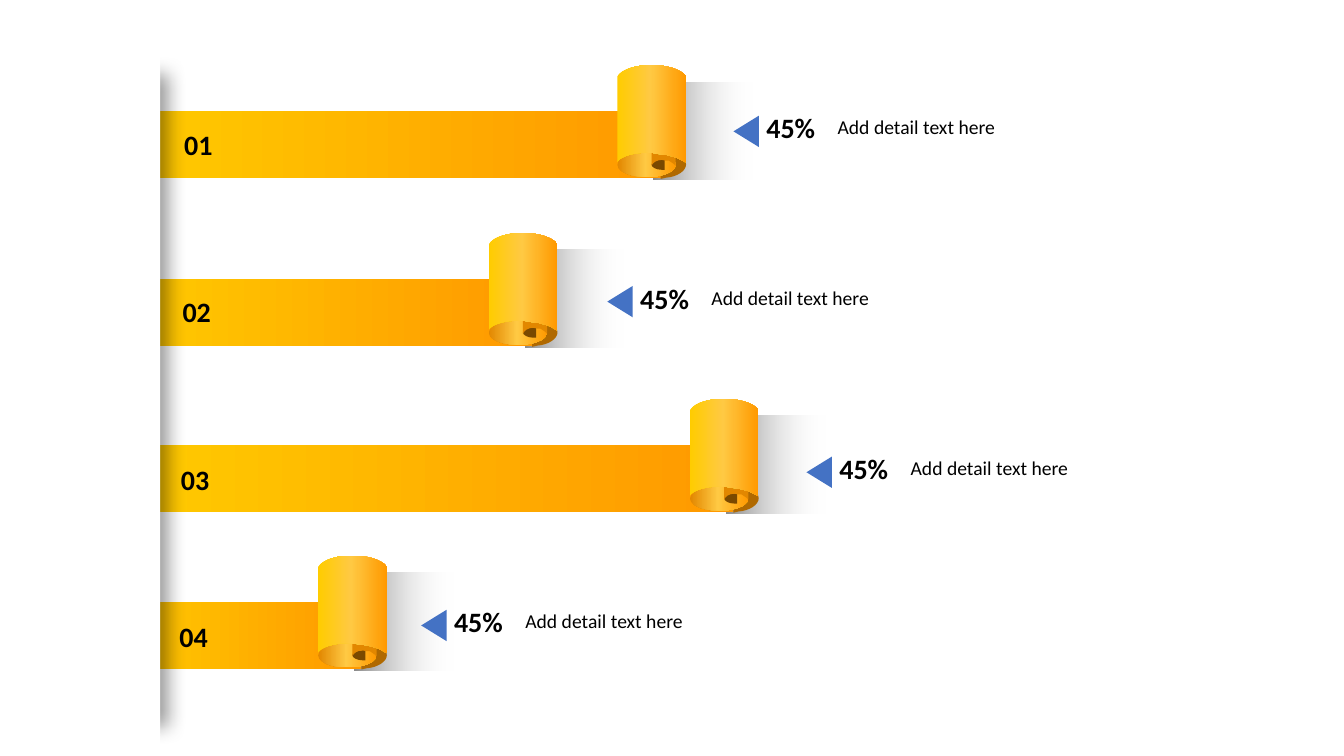
from lxml import etree
from pptx import Presentation
from pptx.dml.color import RGBColor
from pptx.enum.shapes import MSO_SHAPE
from pptx.enum.text import MSO_AUTO_SIZE, PP_ALIGN
from pptx.oxml.ns import qn
from pptx.util import Cm, Pt

RECT = MSO_SHAPE.RECTANGLE
OVAL = MSO_SHAPE.OVAL
WEDGE = MSO_SHAPE.ISOSCELES_TRIANGLE
FIT = MSO_AUTO_SIZE.SHAPE_TO_FIT_TEXT
LEFT, MID = PP_ALIGN.LEFT, PP_ALIGN.CENTER

ROWS = [
    {"num": "01", "share": "45%", "text": "Add detail text here",
     "curl": (15.56, 1.64), "mark": (18.41, 2.99), "top": 3.1},
    {"num": "02", "share": "45%", "text": "Add detail text here",
     "curl": (12.32, 5.87), "mark": (15.23, 7.28), "top": 7.3},
    {"num": "03", "share": "45%", "text": "Add detail text here",
     "curl": (17.39, 10.05), "mark": (20.25, 11.58), "top": 11.52},
    {"num": "04", "share": "45%", "text": "Add detail text here",
     "curl": (8.02, 14.0), "mark": (10.54, 15.44), "top": 15.48},
]

SHADE = [(0, "000000", 46), (100, "FFFFFF", 0)]
BAND = [(0, "FFCC00", 100), (100, "FF9900", 100)]
RIM = [(0, "E28700", 100), (48, "FFC943", 100), (100, "FF9900", 100)]
ROLL = [(0, "FFCC00", 100), (48, "FFC943", 100), (100, "FF9900", 100)]

FOLD = [(1.73, 2.51), (1.73, 2.67, 1.5, 2.82, 1.22, 2.84), (1.09, 2.87),
        (1.09, 2.16), (1.22, 2.16), (1.5, 2.18, 1.73, 2.34, 1.73, 2.51)]
CORE = [(0.86, 2.51), (0.86, 2.57, 0.97, 2.64, 1.12, 2.64), (1.19, 2.64),
        (1.19, 2.36), (1.12, 2.39), (0.97, 2.39, 0.86, 2.44, 0.86, 2.51)]
INNER = [(1.14, 1.02), (1.24, 0.99, 1.35, 1.07, 1.47, 1.17), (1.47, 2.54),
         (1.42, 2.49), (1.37, 2.46, 1.35, 2.44, 1.3, 2.41), (1.22, 2.41),
         (1.19, 2.39, 1.17, 2.39, 1.12, 2.39),
         (0.99, 2.39, 0.89, 2.46, 0.86, 2.54), (0.86, 1.17),
         (0.94, 1.07, 1.04, 1.02, 1.14, 1.02)]
BODY = [(0, 0.28), (0.14, 0.09, 0.5, 0, 0.86, 0),
        (1.21, 0, 1.57, 0.09, 1.73, 0.28), (1.73, 2.46),
        (1.55, 2.36), (1.45, 2.31, 1.32, 2.29, 1.22, 2.26), (1.02, 2.24),
        (0.91, 2.21, 0.84, 2.21, 0.74, 2.21),
        (0.38, 2.21, 0.08, 2.31, 0, 2.44)]

BOLD = {"name": "Calibri", "size": Pt(20), "bold": True}
PLAIN = {"name": "Calibri", "size": Pt(14), "bold": False}
EDGE = 2.92


def rgb(code):
    return RGBColor.from_string(code)


def node(top, tag, **vals):
    return etree.SubElement(top, qn(tag), {k: str(v) for k, v in vals.items()})


def tint(top, code, alpha):
    color = node(top, "a:srgbClr", val=code)
    if alpha < 100:
        node(color, "a:alpha", val=alpha * 1000)


def paint(shape, fill):
    shape.shadow.inherit = False
    shape.line.fill.background()
    if isinstance(fill, str):
        shape.fill.solid()
        shape.fill.fore_color.rgb = rgb(fill)
        return shape
    shape.fill.gradient()
    shape.fill.gradient_angle = 0
    stops = shape._element.spPr.find(".//" + qn("a:gsLst"))
    for old in list(stops):
        stops.remove(old)
    for pos, code, alpha in fill:
        tint(node(stops, "a:gs", pos=pos * 1000), code, alpha)
    return shape


def block(shapes, kind, x, y, w, h, fill):
    return paint(shapes.add_shape(kind, Cm(x), Cm(y), Cm(w), Cm(h)), fill)


def trace(shapes, x, y, outline, fill):
    spots = [(Cm(x + part[-2]), Cm(y + part[-1])) for part in outline]
    pen = shapes.build_freeform(*spots[0])
    pen.add_line_segments(spots[1:], close=True)
    shape = paint(pen.convert_to_shape(), fill)
    lines = shape._element.spPr.findall(".//" + qn("a:lnTo"))
    for line, part in zip(lines, outline[1:]):
        if len(part) == 6:
            bend = node(line.getparent(), "a:cubicBezTo")
            for dx, dy in zip(part[::2], part[1::2]):
                node(bend, "a:pt", x=Cm(x + dx) - shape.left,
                     y=Cm(y + dy) - shape.top)
            line.getparent().replace(line, bend)


def write(shapes, x, y, w, h, words, style, align):
    frame = shapes.add_textbox(Cm(x), Cm(y), Cm(w), Cm(h)).text_frame
    frame.word_wrap = True
    frame.auto_size = FIT
    para = frame.paragraphs[0]
    para.alignment = align
    run = para.add_run()
    run.text = words
    for key, val in style.items():
        setattr(run.font, key, val)
    run.font.color.rgb = rgb("000000")


def scroll(shapes, x, y):
    kit = shapes.add_group_shape().shapes
    block(kit, RECT, x + 0.92, y + 0.43, 2.51, 2.46, SHADE)
    block(kit, RECT, EDGE, y + 1.17, x + 1.09 - EDGE, 1.68, BAND)
    trace(kit, x, y, FOLD, "B06900")
    block(kit, OVAL, x, y + 2.21, 1.47, 0.61, RIM)
    for outline, fill in ((CORE, "7A4900"), (INNER, "E28700"), (BODY, ROLL)):
        trace(kit, x, y, outline, fill)


def spine(shapes):
    slab = block(shapes, RECT, 2.26, 1.63, 1.73, 16.46, "FFFFFF")
    effect = slab._element.spPr.find(qn("a:effectLst"))
    glow = node(effect, "a:outerShdw", blurRad=Pt(13), dist=Pt(9),
                dir=45 * 60000, algn="tl", rotWithShape=0)
    tint(glow, "000000", 40)
    block(shapes, RECT, 1.3, 0.56, 2.74, 18.21, "FFFFFF")


def label(shapes, x, y, row):
    kit = shapes.add_group_shape().shapes
    block(kit, WEDGE, x, y, 0.79, 0.64, "4472C4").rotation = 270
    write(kit, x + 0.39, y - 0.32, 2.26, 1.12, row["share"], BOLD, MID)
    write(shapes, x + 2.45, y - 0.21, 10.08, 0.86, row["text"], PLAIN, LEFT)


def main():
    deck = Presentation()
    deck.slide_width, deck.slide_height = Cm(33.87), Cm(19.05)
    shapes = deck.slides.add_slide(deck.slide_layouts[6]).shapes
    for row in ROWS:
        scroll(shapes, *row["curl"])
    spine(shapes)
    for i, row in enumerate(ROWS):
        left = 3.87 - 0.04 * i
        write(shapes, left, row["top"], 2.26, 1.12, row["num"], BOLD, MID)
    for row in ROWS:
        label(shapes, *row["mark"], row)
    deck.save("out.pptx")


if __name__ == "__main__":
    main()
